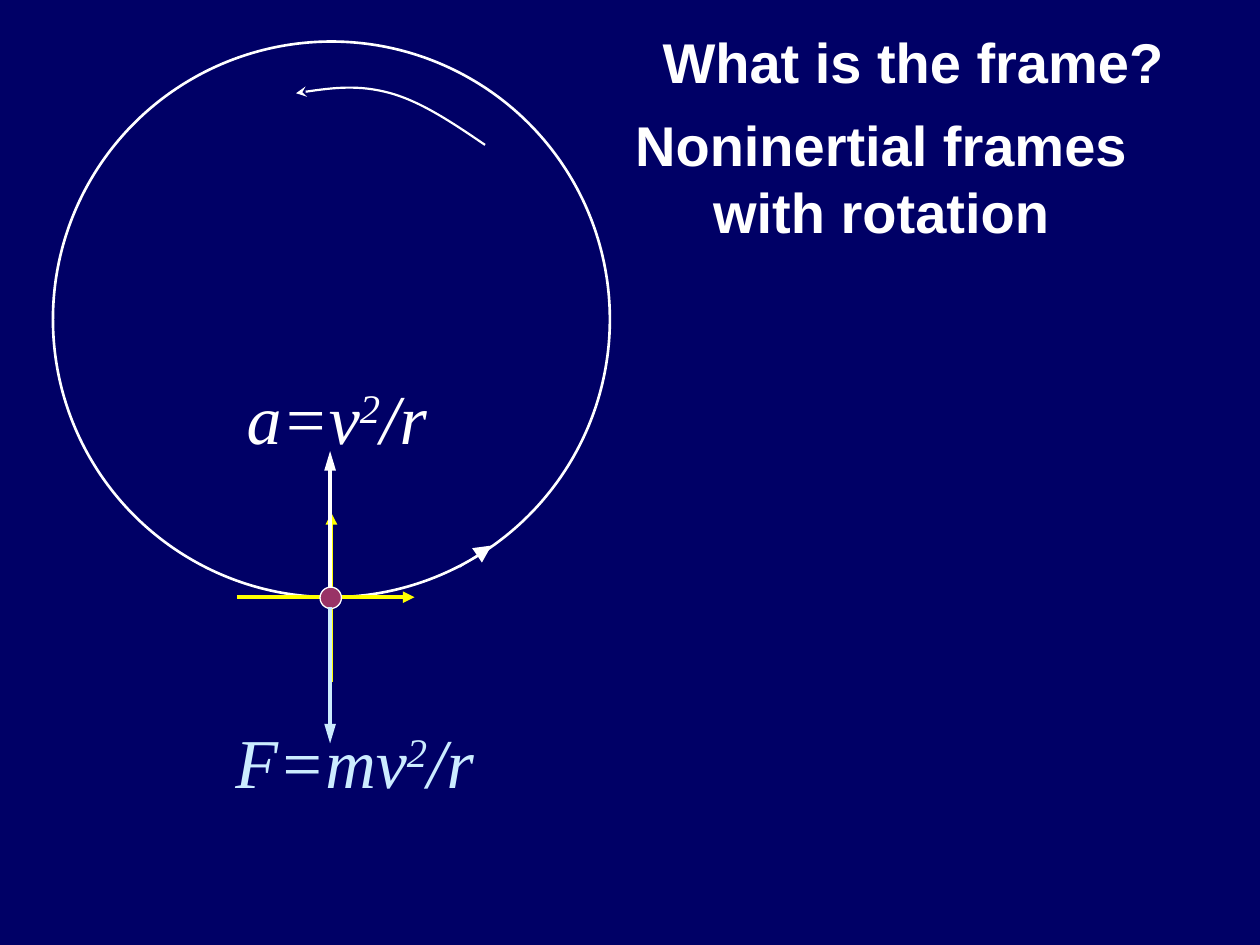
import pptx
import pptx.dml.color
import pptx.enum.shapes
import pptx.enum.text
import pptx.oxml.ns
import pptx.util
from lxml import etree

Inches = pptx.util.Inches
Pt = pptx.util.Pt
RGBColor = pptx.dml.color.RGBColor
qn = pptx.oxml.ns.qn

NAVY = RGBColor(0x00, 0x00, 0x66)
WHITE = RGBColor(0xFF, 0xFF, 0xFF)
YELLOW = RGBColor(0xFF, 0xFF, 0x00)
PALE_BLUE = RGBColor(0xCC, 0xEC, 0xFF)
PLUM = RGBColor(0x99, 0x33, 0x66)

HEADING = {"name": "Arial", "size": Pt(32), "bold": True}
FORMULA = {"name": "Times New Roman", "size": Pt(40), "italic": True}


def add_text(s, box, runs, style, color, wrap=False, centered=False):
    tf = s.shapes.add_textbox(*map(Inches, box)).text_frame
    tf.word_wrap = wrap
    tf.auto_size = pptx.enum.text.MSO_AUTO_SIZE.SHAPE_TO_FIT_TEXT
    p = tf.paragraphs[0]
    if centered:
        p.alignment = pptx.enum.text.PP_ALIGN.CENTER
    for text, raised in runs:
        r = p.add_run()
        r.text = text
        for key, value in style.items():
            setattr(r.font, key, value)
        r.font.color.rgb = color
        if raised:
            r.font._element.set("baseline", "30000")


def set_line(sp, color, width, head=None, head_width="med", head_length="med"):
    sp.line.width = Pt(width)
    sp.line.color.rgb = color
    if head:
        ln = sp._element.xpath(".//a:ln")[0]
        etree.SubElement(ln, qn("a:tailEnd"), type=head, w=head_width, len=head_length)


def add_arrow(s, start, end, color, width, head_width="med", head_length="med"):
    straight = pptx.enum.shapes.MSO_CONNECTOR.STRAIGHT
    sp = s.shapes.add_connector(straight, *map(Inches, (*start, *end)))
    set_line(sp, color, width, "triangle", head_width, head_length)
    etree.SubElement(sp._element.spPr, qn("a:effectLst"))


def add_ellipse(s, box, color, width, fill=None):
    oval = pptx.enum.shapes.MSO_SHAPE.OVAL
    sp = s.shapes.add_shape(oval, *map(Inches, box))
    sp.shadow.inherit = False
    if fill is None:
        sp.fill.background()
    else:
        sp.fill.solid()
        sp.fill.fore_color.rgb = fill
    set_line(sp, color, width)


def add_curve(s, points, color, width):
    start, *rest = [tuple(map(Inches, point)) for point in points]
    builder = s.shapes.build_freeform(*start)
    builder.add_line_segments(rest, close=False)
    sp = builder.convert_to_shape()
    segments = sp._element.xpath(".//a:lnTo")
    for i in range(0, len(segments), 3):
        bezier = etree.Element(qn("a:cubicBezTo"))
        segments[i].addprevious(bezier)
        for segment in segments[i:i + 3]:
            bezier.append(segment[0])
            segment.getparent().remove(segment)
    sp.shadow.inherit = False
    sp.fill.background()
    set_line(sp, color, width, "stealth")


def add_headings(s, left, top):
    add_text(s, (left, top + 0.66, 4.33, 1.17),
             [("Noninertial frames with rotation", False)],
             HEADING, WHITE, wrap=True, centered=True)
    add_text(s, (left + 0.33, top, 4.18, 0.64),
             [("What is the frame?", False)], HEADING, WHITE)


def add_orbit(s, left, top, width, height):
    x, y = left + width / 2, top + height
    add_ellipse(s, (left, top, width, height), WHITE, 1.5)
    add_arrow(s, (x + 1.02, y - 0.24), (x + 1.27, y - 0.41), WHITE, 0.75, "lg", "lg")
    add_arrow(s, (x - 0.75, y), (x + 0.66, y), YELLOW, 2.25)
    add_arrow(s, (x, y + 0.67), (x, y - 0.67), YELLOW, 2.25)
    add_ellipse(s, (x - 0.09, y - 0.08, 0.17, 0.17), WHITE, 0.75, PLUM)
    for label, box, color, sign in (
        ("a=v", (x - 0.77, y - 1.82, 1.63, 0.77), WHITE, -1),
        ("F=mv", (x - 0.86, y + 0.91, 2.09, 0.77), PALE_BLUE, 1),
    ):
        add_arrow(s, (x - 0.01, y + sign * 0.08), (x - 0.01, y + sign * 1.16),
                  color, 2.25, head_length="lg")
        add_text(s, box, [(label, False), ("2", True), ("/r", False)], FORMULA, color)
    turn = [(1.22, -3.59), (0.97, -3.76), (0.72, -3.93), (0.47, -4),
            (0.22, -4.07), (-0.03, -4.04), (-0.28, -4)]
    add_curve(s, [(x + dx, y + dy) for dx, dy in turn], WHITE, 1.25)


def main():
    prs = pptx.Presentation()
    prs.slide_width, prs.slide_height = Inches(10), Inches(7.5)
    s = prs.slides.add_slide(prs.slide_layouts[6])
    s.background.fill.solid()
    s.background.fill.fore_color.rgb = NAVY
    add_headings(s, 4.83, 0.17)
    add_orbit(s, 0.42, 0.33, 4.42, 4.41)
    prs.save("out.pptx")


if __name__ == "__main__":
    main()
